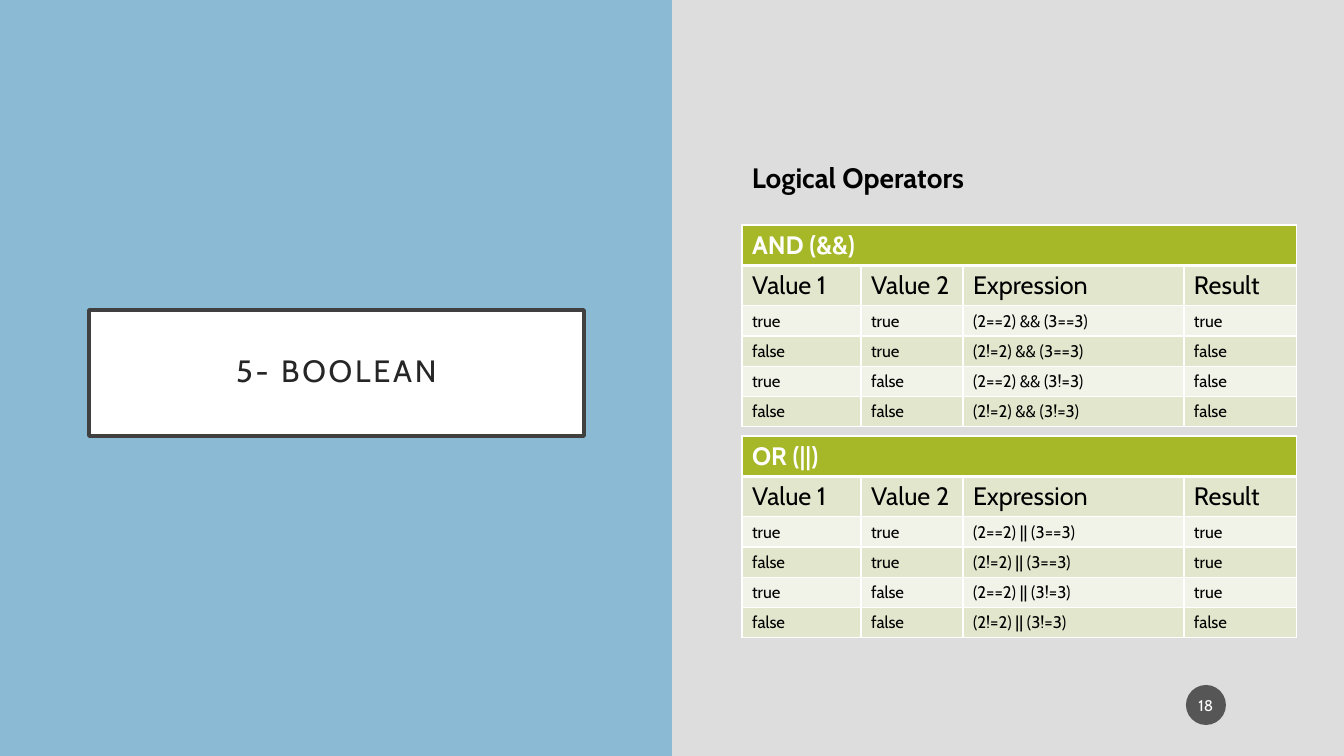
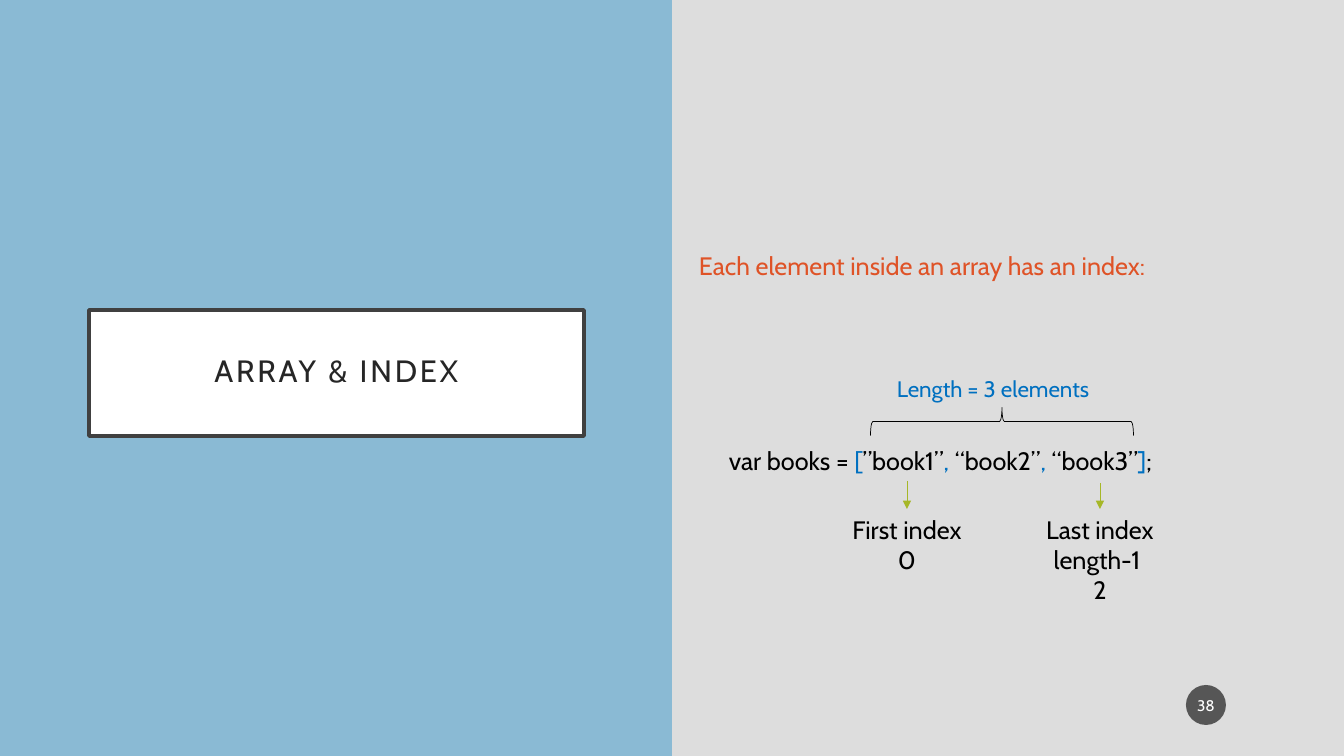
from lxml import etree
from pptx import Presentation
from pptx import util as u
from pptx.dml.color import RGBColor
from pptx.enum import shapes, text
from pptx.oxml.ns import qn

PX = 12192000 / 1344
FONT = "Cabin"
GREY = RGBColor(0xDD, 0xDD, 0xDD)
SKY = RGBColor(0x8A, 0xBA, 0xD4)
WHITE = RGBColor(0xFF, 0xFF, 0xFF)
BLACK = RGBColor(0, 0, 0)
FRAME = RGBColor(0x40, 0x40, 0x40)
INK = RGBColor(0x26, 0x26, 0x26)
BADGE = RGBColor(0x1D, 0x1D, 0x1D)
GREEN = RGBColor(0xA6, 0xB7, 0x27)
BAND_DARK = RGBColor(0xE1, 0xE6, 0xCD)
BAND_LIGHT = RGBColor(0xF1, 0xF3, 0xE8)
ORANGE = RGBColor(0xDF, 0x53, 0x27)
BLUE = RGBColor(0x00, 0x70, 0xC0)


def write(para, spans, size, bold=False):
    """Add (wording, colour) runs; a newline in the wording is a line break."""
    for wording, colour in spans:
        for number, line in enumerate(wording.split("\n")):
            if number:
                para.add_line_break()
            span = para.add_run()
            span.text = line
            span.font.name = FONT
            span.font.size = u.Pt(size)
            span.font.bold = bold
            span.font.color.rgb = colour


def add_text(page, frame, spans, size, bold=False, align=text.PP_ALIGN.LEFT, wrap=True):
    box = page.shapes.add_textbox(*(round(value * PX) for value in frame))
    box.text_frame.word_wrap = wrap
    box.text_frame.auto_size = text.MSO_AUTO_SIZE.SHAPE_TO_FIT_TEXT
    para = box.text_frame.paragraphs[0]
    para.alignment = align
    write(para, spans, size, bold)
    return box


deck = Presentation()
deck.slide_width = round(1344 * PX)
deck.slide_height = round(756 * PX)
deck.slide_master.background.fill.solid()
deck.slide_master.background.fill.fore_color.rgb = GREY
layout = deck.slide_layouts[5]

# Shared title frame and number badge
pages = []
for heading, number in (("5- BOOLEAN", "18"), ("ARRAY & INDEX", "38")):
    page = deck.slides.add_slide(layout)
    pages.append(page)

    title = page.shapes.title
    title.left, title.top, title.width, title.height = (
        round(value * PX) for value in (89, 310, 495, 126))
    title.fill.solid()
    title.fill.fore_color.rgb = WHITE
    title.line.color.rgb = FRAME
    title.line.width = u.Pt(2.5)
    frame = title.text_frame
    frame.word_wrap = True
    frame.auto_size = text.MSO_AUTO_SIZE.NONE
    frame.vertical_anchor = text.MSO_ANCHOR.MIDDLE
    frame.margin_left = frame.margin_right = round(20 * PX)
    frame.margin_top = frame.margin_bottom = round(20 * PX)
    para = frame.paragraphs[0]
    para.alignment = text.PP_ALIGN.CENTER
    para.line_spacing = 0.9
    write(para, [(heading, INK)], 22)
    para.runs[0].font._element.set("spc", "200")

    badge = page.shapes.add_shape(
        shapes.MSO_SHAPE.OVAL, *(round(value * PX) for value in (1186, 685, 40, 40)))
    badge.shadow.inherit = False
    badge.fill.solid()
    badge.fill.fore_color.rgb = BADGE
    colour = badge.element.spPr.find(qn("a:solidFill"))[0]
    etree.SubElement(colour, qn("a:alpha"), val="70000")
    badge.line.fill.background()
    frame = badge.text_frame
    frame.margin_left = frame.margin_right = round(2 * PX)
    frame.margin_top = frame.margin_bottom = round(5 * PX)
    frame.vertical_anchor = text.MSO_ANCHOR.MIDDLE
    frame.paragraphs[0].alignment = text.PP_ALIGN.CENTER
    write(frame.paragraphs[0], [(number, WHITE)], 11)

boolean_page, array_page = pages

# The left half belongs to the layout, behind its placeholders
half = boolean_page.shapes.add_shape(
    shapes.MSO_SHAPE.RECTANGLE, 0, 0, round(672 * PX), deck.slide_height)
half.shadow.inherit = False
half.fill.solid()
half.fill.fore_color.rgb = SKY
half.line.fill.background()
layout.shapes.element.insert(2, half.element)

# Truth tables
add_text(boolean_page, (742, 156, 539, 44), [("Logical Operators", BLACK)], 20, bold=True)

column_widths = (119, 102, 221, 113)
row_heights = (40, 40, 30, 30, 30, 30)
value_pairs = ((True, True), (False, True), (True, False), (False, False))
for top, name, operator, combine in ((225, "AND", "&&", all), (436, "OR", "||", any)):
    rows = [(f"{name} ({operator})", "", "", ""),
            ("Value 1", "Value 2", "Expression", "Result")]
    for pair in value_pairs:
        first, second = ("==" if value else "!=" for value in pair)
        values = [str(value).lower() for value in (*pair, combine(pair))]
        expression = f"(2{first}2) {operator} (3{second}3)"
        rows.append((values[0], values[1], expression, values[2]))

    table = boolean_page.shapes.add_table(
        len(rows), len(column_widths), round(742 * PX), round(top * PX),
        round(sum(column_widths) * PX), round(sum(row_heights) * PX)).table
    table.horz_banding = False
    for column, width in zip(table.columns, column_widths):
        column.width = round(width * PX)
    table.cell(0, 0).merge(table.cell(0, 3))

    for r, row in enumerate(rows):
        table.rows[r].height = round(row_heights[r] * PX)
        for c, wording in enumerate(row):
            cell = table.cell(r, c)
            properties = cell._tc.get_or_add_tcPr()
            for side in ("lnL", "lnR", "lnT", "lnB"):
                thick = (r, side) in ((0, "lnB"), (1, "lnT"))
                border = etree.SubElement(
                    properties, qn(f"a:{side}"), w=str(u.Pt(3 if thick else 1)))
                paint = etree.SubElement(border, qn("a:solidFill"))
                etree.SubElement(paint, qn("a:srgbClr"), val=str(WHITE))
            cell.fill.solid()
            cell.fill.fore_color.rgb = (
                GREEN if r == 0 else BAND_DARK if r % 2 else BAND_LIGHT)
            if wording:
                write(cell.text_frame.paragraphs[0],
                      [(wording, BLACK if r else WHITE)], 18 if r < 2 else 12, bold=r == 0)

# Array diagram
add_text(array_page, (689, 245, 615, 40),
         [("Each element inside an array has an index:", ORANGE)], 18)
add_text(array_page, (719, 440, 451, 40),
         [("var books = ", BLACK), ("[", BLUE), ("”book1”", BLACK), (",", BLUE),
          (" “book2”", BLACK), (", ", BLUE), ("“book3”", BLACK), ("]", BLUE), (";", BLACK)],
         18, wrap=False)

brace = array_page.shapes.add_shape(
    shapes.MSO_SHAPE.RIGHT_BRACE, *(round(value * PX) for value in (988, 290, 28, 263)))
brace.rotation = 270
brace.shadow.inherit = False
brace.fill.background()
brace.line.color.rgb = BLACK
brace.line.width = u.Pt(0.5)
add_text(array_page, (887, 370, 255, 37), [("Length = 3 elements", BLUE)], 16)

for left, height, start, wording in ((837, 72, 481, "First index\n0"),
                                     (1030, 102, 483, "Last index\nlength-1 \n2")):
    label = add_text(array_page, (left, 509, 140, height), [(wording, BLACK)], 18,
                     align=text.PP_ALIGN.CENTER)
    middle = round((left + 70) * PX)
    arrow = array_page.shapes.add_connector(
        shapes.MSO_CONNECTOR.STRAIGHT, middle, round(start * PX), middle, label.top)
    arrow.end_connect(label, 0)
    arrow.line.color.rgb = GREEN
    arrow.line.width = u.Pt(0.5)
    etree.SubElement(arrow.line._get_or_add_ln(), qn("a:tailEnd"), type="triangle")
    etree.SubElement(arrow._element.spPr, qn("a:effectLst"))

deck.save("out.pptx")
